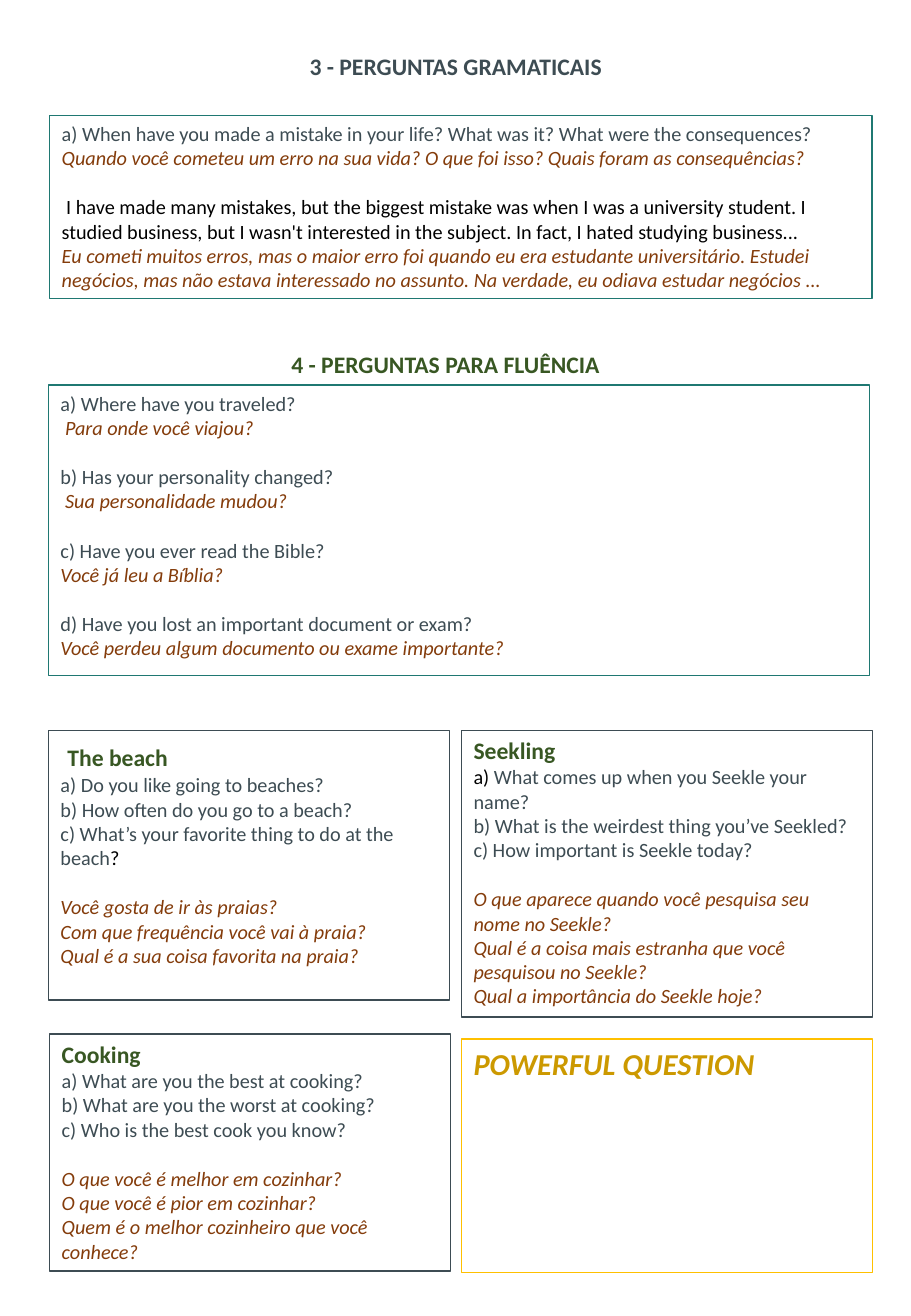
from pptx import Presentation
from pptx.dml.color import RGBColor
from pptx.enum.shapes import MSO_SHAPE
from pptx.enum.text import MSO_ANCHOR, MSO_AUTO_SIZE, PP_ALIGN
from pptx.util import Pt

RECTANGLE = MSO_SHAPE.RECTANGLE
TOP = MSO_ANCHOR.TOP
LEFT = PP_ALIGN.LEFT
NO_AUTOFIT = MSO_AUTO_SIZE.NONE

THEME = {
    "font": "Calibri",
    "line_width": 0.75,
    "block_gap": 14.65,
    "lines": {"teal": "1F7872", "slate": "3D4C53", "gold": "FFC000"},
    "text": {
        "english": {"size": 12, "color": "3D4C53"},
        "answer": {"size": 12, "color": "000000"},
        "portuguese": {"size": 12, "color": "843C0B", "italic": True},
        "section": {"size": 14, "color": "3D4C53", "bold": True},
        "topic": {"size": 14, "color": "385723", "bold": True},
        "indent": {"size": 18, "color": "000000", "bold": True},
        "powerful": {"size": 18, "color": "CC9900", "bold": True, "italic": True},
    },
}

HEADINGS = [
    ((176.4, 27.4, 189.4, 24.5), [("section", "3 - PERGUNTAS GRAMATICAIS")]),
    ((165.6, 203.8, 198.7, 24.5), [("topic", "4 - PERGUNTAS PARA FLUÊNCIA")]),
]

GRAMMAR = [
    [[("english", "a) When have you made a mistake in your life? What was it? "
                  "What were the consequences?")],
     [("portuguese", "Quando você cometeu um erro na sua vida? O que foi isso? "
                     "Quais foram as consequências?")]],
    [[("answer", " I have made many mistakes, but the biggest mistake was when I was "
                 "a university student. I studied business, but I wasn't interested in "
                 "the subject. In fact, I hated studying business...")],
     [("portuguese", "Eu cometi muitos erros, mas o maior erro foi quando eu era "
                     "estudante universitário. Estudei negócios, mas não estava "
                     "interessado no assunto. Na verdade, eu odiava estudar negócios ...")]],
]

FLUENCY = [
    [[("english", question)], [("portuguese", translation)]]
    for question, translation in [
        ("a) Where have you traveled?", " Para onde você viajou?"),
        ("b) Has your personality changed?", " Sua personalidade mudou?"),
        ("c) Have you ever read the Bible?", "Você já leu a Bíblia?"),
        ("d) Have you lost an important document or exam?",
         "Você perdeu algum documento ou exame importante?"),
    ]
]

BEACH = [
    [[("indent", " "), ("topic", "The beach")],
     [("english", "a) Do you like going to beaches?")],
     [("english", "b) How often do you go to a beach?")],
     [("english", "c) What’s your favorite thing to do at the beach"), ("answer", "?")]],
    [[("portuguese", "Você gosta de ir às praias?")],
     [("portuguese", "Com que frequência você vai à praia?")],
     [("portuguese", "Qual é a sua coisa favorita na praia?")]],
]

COOKING = [
    [[("topic", "Cooking")],
     [("english", "a) What are you the best at cooking?")],
     [("english", "b) What are you the worst at cooking?")],
     [("english", "c) Who is the best cook you know?")]],
    [[("portuguese", "O que você é melhor em cozinhar?")],
     [("portuguese", "O que você é pior em cozinhar?")],
     [("portuguese", "Quem é o melhor cozinheiro que você conhece?")]],
]

SEARCHING = [
    [[("topic", "Seekling")],
     [("answer", "a) "), ("english", "What comes up when you Seekle your name?")],
     [("english", "b) What is the weirdest thing you’ve Seekled?")],
     [("english", "c) How important is Seekle today?")]],
    [[("portuguese", "O que aparece quando você pesquisa seu nome no Seekle?")],
     [("portuguese", "Qual é a coisa mais estranha que você pesquisou no Seekle?")],
     [("portuguese", "Qual a importância do Seekle hoje?")]],
]

POWERFUL = [[[("powerful", "POWERFUL QUESTION")]]]

BOXES = [
    ((29.5, 68.4, 487.4, 108.7), "teal", GRAMMAR),
    ((28.8, 228.2, 486.7, 172.1), "teal", FLUENCY),
    ((28.8, 432.7, 237.6, 159.8), "slate", BEACH),
    ((29.5, 612.7, 237.6, 140.4), "slate", COOKING),
    ((273.6, 432.7, 243.4, 169.9), "slate", SEARCHING),
    ((273.6, 615.6, 243.4, 138.2), "gold", POWERFUL),
]


def add_run(p, style, text):
    r = p.add_run()
    r.text = text
    look = {"name": THEME["font"], "bold": False, "italic": False, **THEME["text"][style]}
    r.font.color.rgb = RGBColor.from_string(look.pop("color"))
    look["size"] = Pt(look["size"])
    for name, value in look.items():
        setattr(r.font, name, value)


def write_blocks(tf, blocks, wrap):
    frame_format = {"word_wrap": wrap, "auto_size": NO_AUTOFIT, "vertical_anchor": TOP}
    for name, value in frame_format.items():
        setattr(tf, name, value)
    for b, block in enumerate(blocks):
        for i, runs in enumerate(block):
            p = tf.paragraphs[0] if b == i == 0 else tf.add_paragraph()
            p.alignment = LEFT
            if b and i == 0:
                p.space_before = Pt(THEME["block_gap"])
            for style, text in runs:
                add_run(p, style, text)


def add_heading(s, bounds, runs):
    sp = s.shapes.add_textbox(*map(Pt, bounds))
    write_blocks(sp.text_frame, [[runs]], wrap=False)


def add_question_box(s, bounds, line, blocks):
    sp = s.shapes.add_shape(RECTANGLE, *map(Pt, bounds))
    sp.shadow.inherit = False
    sp.fill.background()
    sp.line.color.rgb = RGBColor.from_string(THEME["lines"][line])
    sp.line.width = Pt(THEME["line_width"])
    write_blocks(sp.text_frame, blocks, wrap=True)


def main():
    """Build the conversation worksheet and save it."""
    prs = Presentation()
    prs.slide_width, prs.slide_height = Pt(540), Pt(779.76)
    s = prs.slides.add_slide(prs.slide_layouts[6])
    for bounds, runs in HEADINGS:
        add_heading(s, bounds, runs)
    for bounds, line, blocks in BOXES:
        add_question_box(s, bounds, line, blocks)
    prs.save("out.pptx")


main()
